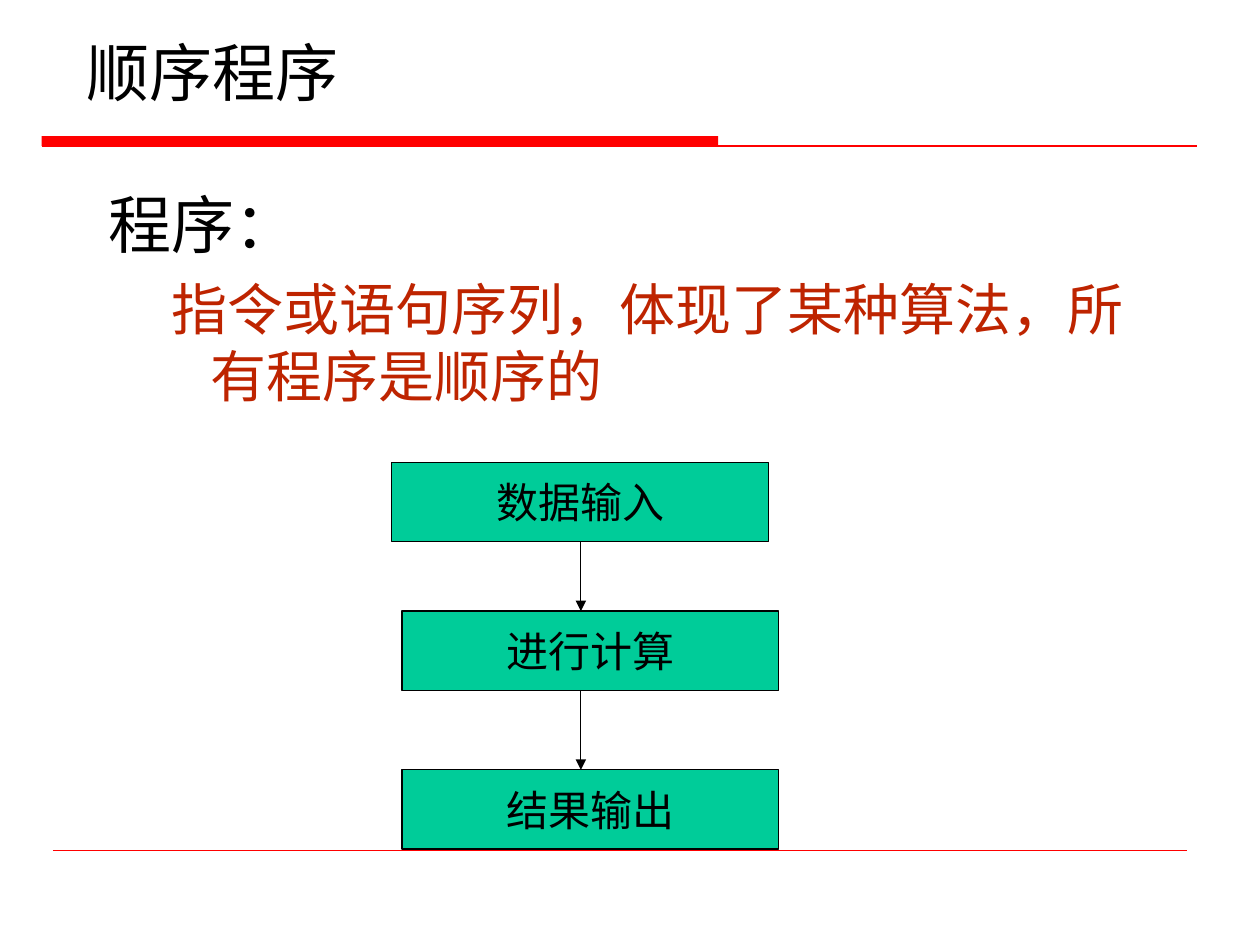
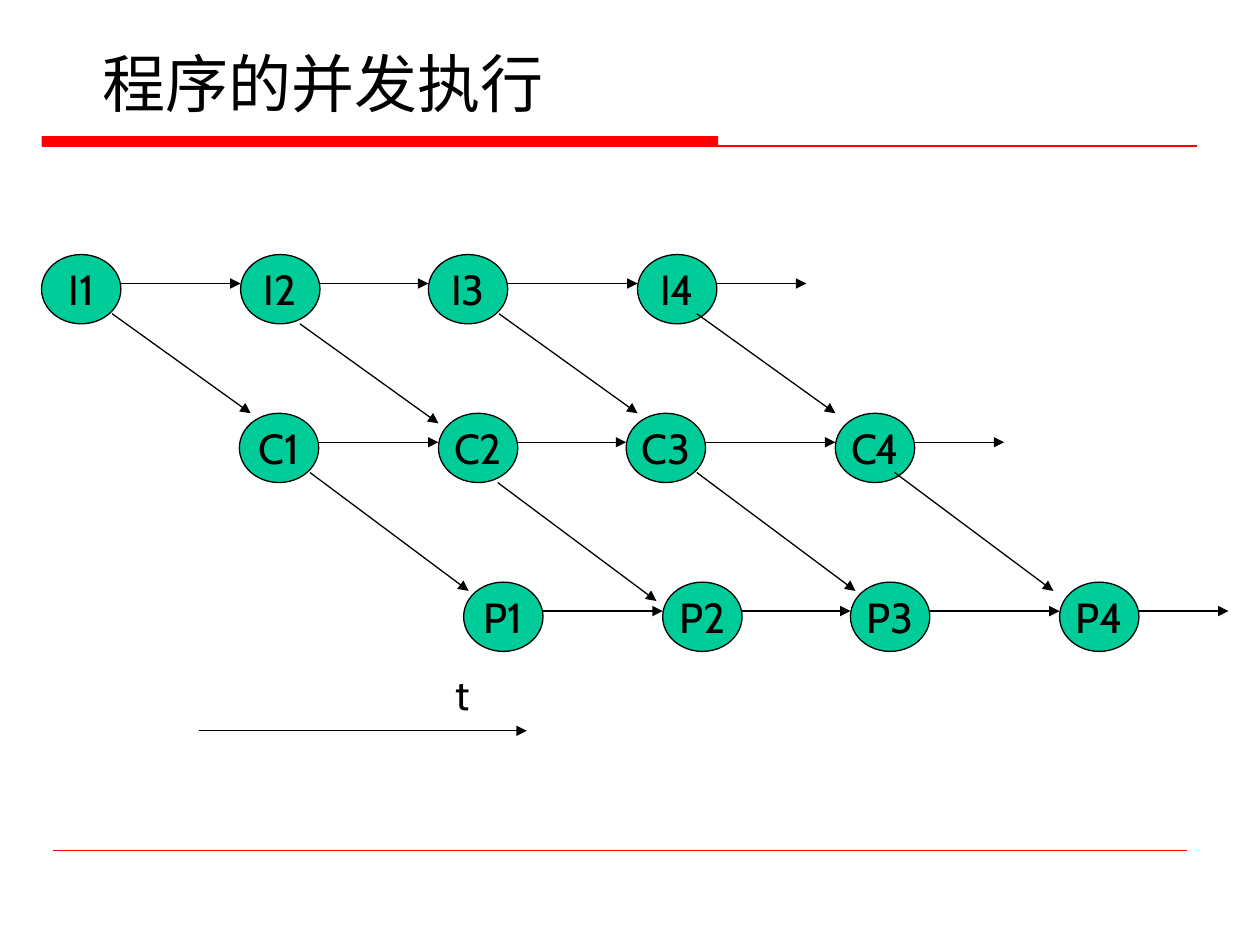
import pptx
import pptx.util
import pptx.dml.color
import pptx.enum.shapes
import pptx.enum.text
import pptx.oxml.ns
from lxml import etree

Inches, Pt = pptx.util.Inches, pptx.util.Pt
qn = pptx.oxml.ns.qn
SHAPES = pptx.enum.shapes.MSO_SHAPE
ALIGN = pptx.enum.text.PP_ALIGN
ANCHOR = pptx.enum.text.MSO_ANCHOR

BLACK = pptx.dml.color.RGBColor(0x00, 0x00, 0x00)
RED = pptx.dml.color.RGBColor(0xFF, 0x00, 0x00)
BRICK = pptx.dml.color.RGBColor(0xBE, 0x24, 0x00)
GREEN = pptx.dml.color.RGBColor(0x00, 0xCC, 0x99)
CJK_FONT = "Noto Sans CJK SC"
LATIN_FONT = "Cabin"
BOX_FONT = "Times New Roman"


def write(paragraph, text, size, font=LATIN_FONT, color=BLACK, align=ALIGN.LEFT):
    paragraph.text = text
    paragraph.alignment = align
    paragraph.font.size = Pt(size)
    paragraph.font.color.rgb = color
    paragraph.font.name = font
    defaults = paragraph._p.pPr.find(qn("a:defRPr"))
    etree.SubElement(defaults, qn("a:ea")).set("typeface", CJK_FONT)


def draw_line(slide, x1, y1, x2, y2, color=BLACK, width=0.75, arrow=True):
    line = slide.shapes.add_connector(
        pptx.enum.shapes.MSO_CONNECTOR.STRAIGHT,
        Inches(x1), Inches(y1), Inches(x2), Inches(y2))
    line.line.color.rgb = color
    line.line.width = Pt(width)
    if arrow:
        etree.SubElement(line.line._get_or_add_ln(), qn("a:tailEnd")).set("type", "triangle")
    etree.SubElement(line._element.spPr, qn("a:effectLst"))


presentation = pptx.Presentation()
presentation.slide_width = Inches(10)
presentation.slide_height = Inches(7.5)

# Both slides: title, red band, footer line
pages = []
for heading, left, top, height in [("顺序程序", 0.59, 0.33, 0.92),
                                   ("程序的并发执行", 0.71, 0.42, 1.25)]:
    page = presentation.slides.add_slide(presentation.slide_layouts[5])
    title = page.shapes.title
    title.left, title.top = Inches(left), Inches(top)
    title.width, title.height = Inches(8.5), Inches(height)
    title.text_frame.auto_size = pptx.enum.text.MSO_AUTO_SIZE.NONE
    title.text_frame.vertical_anchor = ANCHOR.TOP
    write(title.text_frame.paragraphs[0], heading, 36, CJK_FONT)
    title.text_frame.paragraphs[0].line_spacing = 0.8

    band = page.shapes.add_shape(SHAPES.RECTANGLE, Inches(0.33), Inches(1.08),
                                 Inches(5.37), Inches(0.08))
    band.shadow.inherit = False
    band.fill.solid()
    band.fill.fore_color.rgb = RED
    band.line.fill.background()
    draw_line(page, 0.33, 1.16, 9.5, 1.16, RED, arrow=False)
    draw_line(page, 0.42, 6.75, 9.42, 6.75, RED, 0.25, arrow=False)
    pages.append(page)
sequential, concurrent = pages

# Definition of a program
definition = sequential.shapes.add_textbox(Inches(0.76), Inches(1.42),
                                           Inches(8.67), Inches(2.05)).text_frame
definition.word_wrap = True
term, meaning = definition.paragraphs[0], definition.add_paragraph()
write(term, "程序：", 36, CJK_FONT)
write(meaning, "指令或语句序列，体现了某种算法，所有程序是顺序的", 32, CJK_FONT, BRICK)
meaning.space_before = Pt(8)
for paragraph, margin, indent in [(term, 0.38, -0.38), (meaning, 0.81, -0.31)]:
    paragraph._p.pPr.set("marL", str(Inches(margin)))
    paragraph._p.pPr.set("indent", str(Inches(indent)))

# Flow steps, then the nodes of the three concurrent rows
STEP_W, STEP_H = 2.99, 0.63
NODE_W, NODE_H = 0.63, 0.55
steps = [("数据输入", 3.11, 3.67), ("进行计算", 3.19, 4.85), ("结果输出", 3.19, 6.11)]
node_lefts = [0.33, 1.91, 3.4, 5.06]
rows = [("I", 0, 2.02), ("C", 1.57, 3.28), ("P", 3.35, 4.62)]

blocks = [(sequential, SHAPES.RECTANGLE, label, x, y, STEP_W, STEP_H, BOX_FONT)
          for label, x, y in steps]
blocks += [(concurrent, SHAPES.OVAL, f"{letter}{number}", x + shift, y,
            NODE_W, NODE_H, LATIN_FONT)
           for letter, shift, y in rows
           for number, x in enumerate(node_lefts, 1)]
for page, outline, label, x, y, width, height, font in blocks:
    block = page.shapes.add_shape(outline, Inches(x), Inches(y),
                                  Inches(width), Inches(height))
    block.shadow.inherit = False
    block.fill.solid()
    block.fill.fore_color.rgb = GREEN
    block.line.color.rgb = BLACK
    block.line.width = Pt(0.75)
    block.text_frame.word_wrap = False
    block.text_frame.vertical_anchor = ANCHOR.MIDDLE
    write(block.text_frame.paragraphs[0], label, 24, font, align=ALIGN.CENTER)

# Arrows between flow steps
for (_, _, upper), (_, _, lower) in zip(steps, steps[1:]):
    draw_line(sequential, 4.61, upper + STEP_H, 4.61, lower)

# Arrows along each row, the last one leading onwards
for _, shift, y in rows:
    targets = node_lefts[1:] + [node_lefts[-1] + NODE_W + 0.71]
    for x, target in zip(node_lefts, targets):
        draw_line(concurrent, x + shift + NODE_W, y + 0.23, target + shift, y + 0.23)

# Diagonal arrows down to the next row; the second pair sits slightly lower
for x, drop in [(0.89, 0), (2.38, 0.08), (3.96, 0), (5.53, 0)]:
    for shift, y, run, fall in [(0, 2.49, 1.1, 0.79), (1.57, 3.75, 1.26, 0.94)]:
        draw_line(concurrent, x + shift, y + drop, x + shift + run, y + drop + fall)

# Time axis
draw_line(concurrent, 1.58, 5.8, 4.18, 5.8)
time_label = concurrent.shapes.add_textbox(Inches(3.52), Inches(5.26),
                                           Inches(0.32), Inches(0.5)).text_frame
time_label.word_wrap = False
write(time_label.paragraphs[0], "t", 24)

presentation.save("out.pptx")
